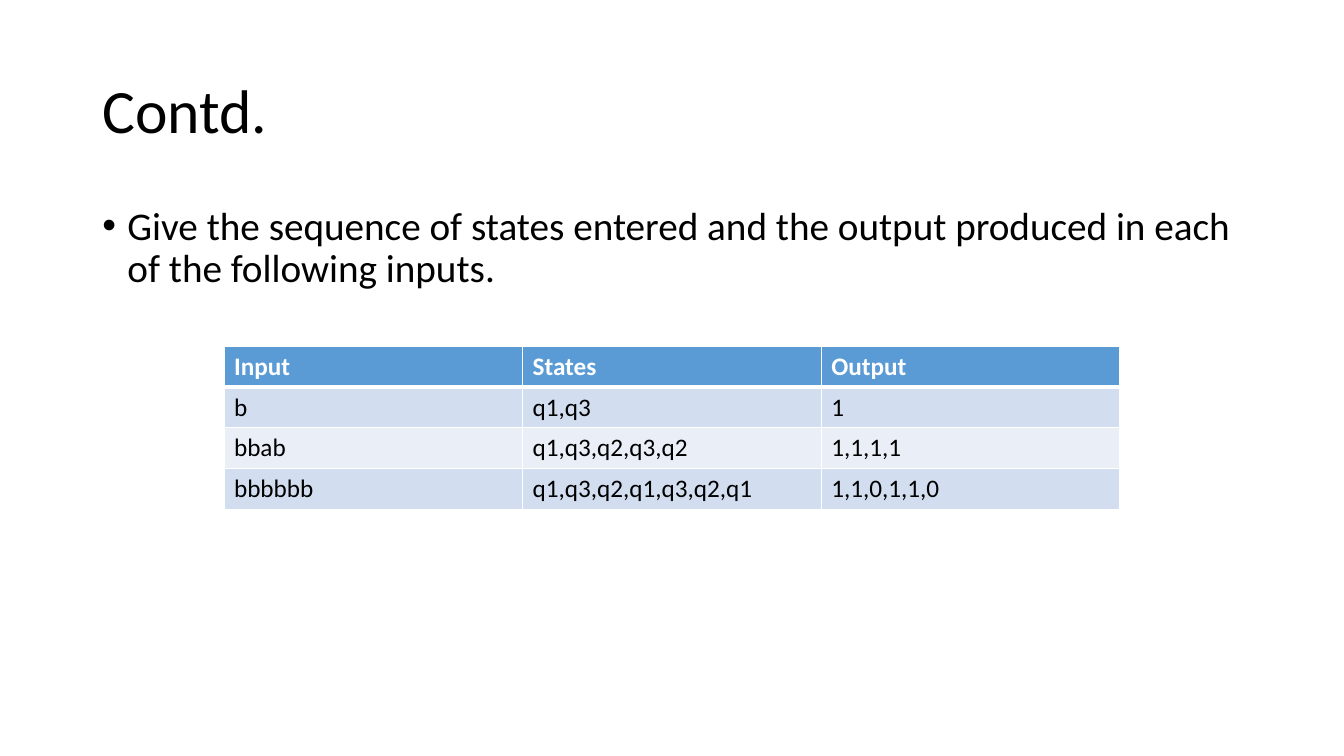
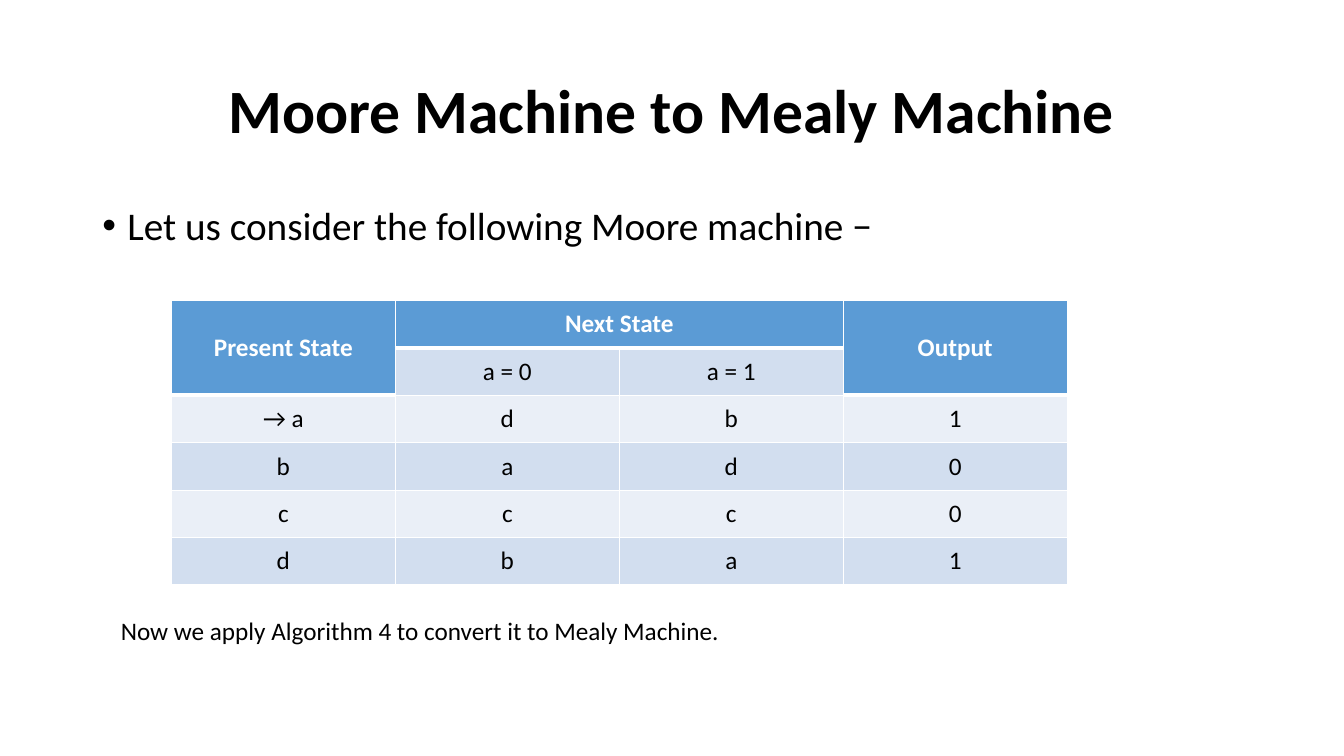
from pptx import Presentation
from pptx.dml.color import RGBColor
from pptx.enum import text as tx
from pptx.oxml import parse_xml
from pptx.oxml import ns
from pptx.util import Pt

FONT = "Calibri"
BLACK, WHITE = "000000", "FFFFFF"
HEAD, BANDS = "5B9BD5", ("EAEFF7", "D2DEEF")
LEFT, WIDTH = 66, 828
LEAD = 0.9
INDENT = 18
LEFTWARD, CENTER = tx.PP_ALIGN.LEFT, tx.PP_ALIGN.CENTER
TOP, MIDDLE = tx.MSO_ANCHOR.TOP, tx.MSO_ANCHOR.MIDDLE


def color(code):
    return RGBColor.from_string(code)


def write(frame, words, size, bold=False, tint=BLACK, align=LEFTWARD):
    para = frame.paragraphs[0]
    para.alignment = align
    run = para.add_run()
    run.text = words
    font = run.font
    font.name, font.size, font.bold = FONT, Pt(size), bold
    font.color.rgb = color(tint)
    return para


def add_text(slide, box, words, size, anchor=TOP, **style):
    frame = slide.shapes.add_textbox(*map(Pt, box)).text_frame
    frame.word_wrap = True
    frame.vertical_anchor = anchor
    return write(frame, words, size, **style)


def add_title(slide, words, **style):
    para = add_text(slide, (LEFT, 28.8, WIDTH, 104.4), words, 44, MIDDLE, **style)
    para.line_spacing = LEAD


def add_bullet(slide, words):
    para = add_text(slide, (LEFT, 144, WIDTH, 342.7), words, 28)
    para.line_spacing = LEAD
    para.space_before = Pt(10)
    props = para._p.get_or_add_pPr()
    props.set("marL", str(Pt(INDENT)))
    props.set("indent", str(-Pt(INDENT)))
    for mark in ('buFont {} typeface="Arial"', 'buChar {} char="•"'):
        props.append(parse_xml(f"<a:{mark.format(ns.nsdecls('a'))}/>"))


def add_edge(cell, side, width):
    cell._tc.get_or_add_tcPr().append(parse_xml(
        f'<a:ln{side} {ns.nsdecls("a")} w="{Pt(width)}"><a:solidFill>'
        f'<a:srgbClr val="{WHITE}"/></a:solidFill></a:ln{side}>'))


def add_grid(slide, left, top, width, height, rows, heads, spans=(),
             pads=(7.2, 3.6), align=LEFTWARD):
    count = len(rows)
    box = map(Pt, (left, top, width, height * count))
    table = slide.shapes.add_table(count, len(heads), *box).table
    for col in table.columns:
        col.width = Pt(width / len(heads))
    for y, row in enumerate(rows):
        table.rows[y].height = Pt(height)
        for x, words in enumerate(row):
            cell = table.cell(y, x)
            head = y < heads[x]
            add_edge(cell, "L", 1)
            add_edge(cell, "R", 1)
            add_edge(cell, "T", 3 if y == heads[x] else 1)
            add_edge(cell, "B", 3 if y == heads[x] - 1 else 1)
            cell.fill.solid()
            cell.fill.fore_color.rgb = color(HEAD if head else BANDS[y % 2])
            cell.margin_left = cell.margin_right = Pt(pads[0])
            cell.margin_top = cell.margin_bottom = Pt(pads[1])
            if words:
                write(cell.text_frame, words, 18, bold=head,
                      tint=WHITE if head else BLACK, align=align)
    for start, end in spans:
        cell = table.cell(*start)
        cell.merge(table.cell(*end))
        cell.vertical_anchor = MIDDLE


def add_inputs(slide):
    add_title(slide, "Contd.")
    add_bullet(slide, "Give the sequence of states entered and the output "
                      "produced in each of the following inputs.")
    rows = [
        ("Input", "States", "Output"),
        ("b", "q1,q3", "1"),
        ("bbab", "q1,q3,q2,q3,q2", "1,1,1,1"),
        ("bbbbbb", "q1,q3,q2,q1,q3,q2,q1", "1,1,0,1,1,0"),
    ]
    add_grid(slide, 160, 247.2, 640, 29.2, rows, (1, 1, 1))


def add_moore(slide):
    add_title(slide, "Moore Machine to Mealy Machine", bold=True, align=CENTER)
    add_bullet(slide, "Let us consider the following Moore machine −")
    rows = [
        ("Present State", "Next State", "", "Output"),
        ("", "a = 0", "a = 1", ""),
        ("→ a", "d", "b", "1"),
        ("b", "a", "d", "0"),
        ("c", "c", "c", "0"),
        ("d", "b", "a", "1"),
    ]
    spans = [((0, 0), (1, 0)), ((0, 1), (0, 2)), ((0, 3), (1, 3))]
    add_grid(slide, 122.4, 214.6, 640, 33.9, rows, (2, 1, 1, 2), spans,
             pads=(6, 6), align=CENTER)
    add_text(slide, (79.2, 436.3, 682.6, 29), "Now we apply Algorithm 4 to "
             "convert it to Mealy Machine.", 18)


def main():
    deck = Presentation()
    deck.slide_width, deck.slide_height = Pt(960), Pt(540)
    for build in (add_inputs, add_moore):
        build(deck.slides.add_slide(deck.slide_layouts[6]))
    deck.save("out.pptx")


if __name__ == "__main__":
    main()
